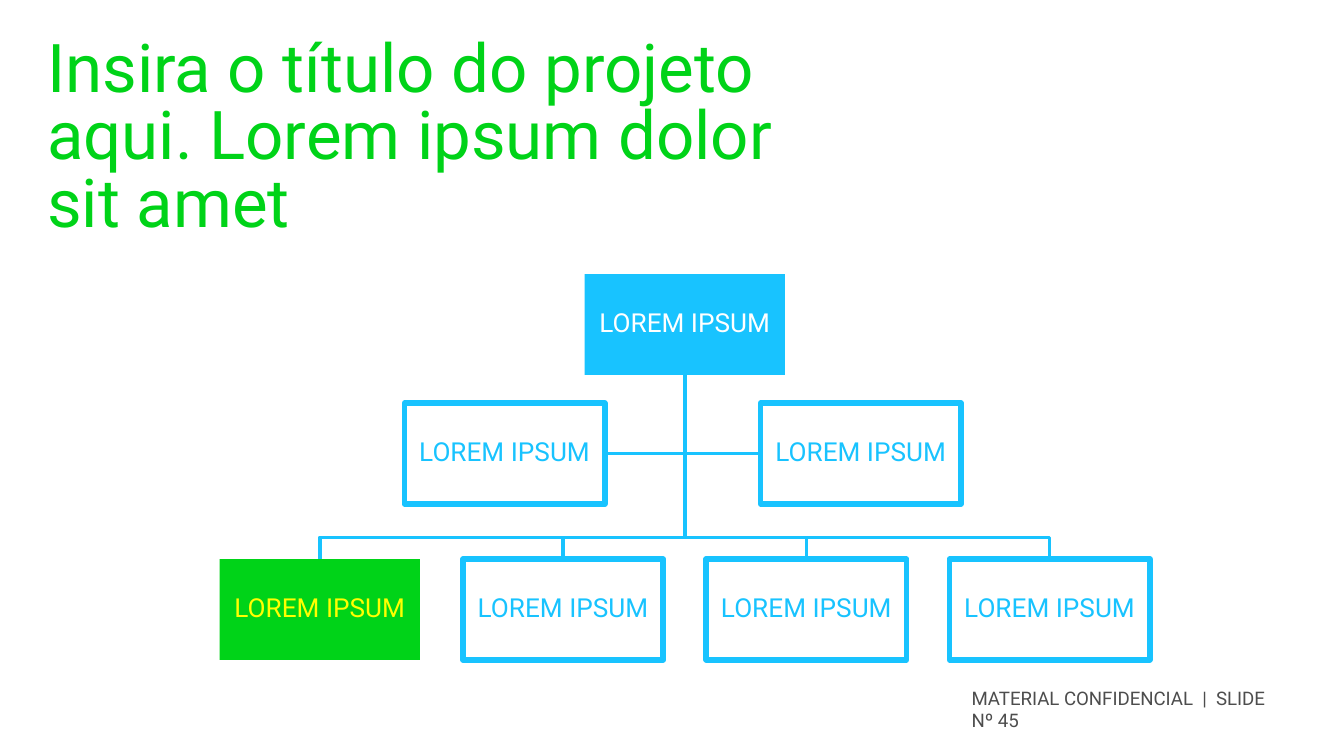
"""Build a slide with a title, an organisation chart and a footer."""
from dataclasses import dataclass

from pptx import Presentation
from pptx import util as u
from pptx.dml import color
from pptx.enum import shapes, text


@dataclass(frozen=True)
class Theme:
    """Colours, font and sizes used on the slide."""
    blue: str = "18C3FF"
    green: str = "00D318"
    yellow: str = "FFFF00"
    white: str = "FFFFFF"
    grey: str = "4D4D4D"
    font: str = "Roboto"
    title: int = 36
    label: int = 14
    footer: int = 10
    link_line: int = 2
    box_line: int = 3


THEME = Theme()
SLIDE_WIDTH = u.Inches(10)
SLIDE_HEIGHT = SLIDE_WIDTH * 9 // 16
BOX_WIDTH, BOX_HEIGHT = 1.49, 0.75
ROOT_LEFT = 4.35
CENTRE = ROOT_LEFT + BOX_WIDTH / 2
ROOT_TOP, ASSISTANT_TOP, TEAM_TOP = 2.04, 3, 4.16
ASSISTANT_LEFTS = (3.01, 5.66)
TEAM_SIZE, TEAM_STEP = 4, 1.81
BUS_Y = 4


def set_values(target, values):
    """Set every attribute named in a dict on the target."""
    for name, value in values.items():
        setattr(target, name, value)


def write(shape, words, size, colour, frame_format, paragraph_format, inset=0):
    """Write one formatted paragraph into a shape."""
    frame = shape.text_frame
    margins = {f"margin_{side}": u.Inches(inset) for side in ("left", "top", "right", "bottom")}
    set_values(frame, {"word_wrap": True, "auto_size": text.MSO_AUTO_SIZE.NONE,
                       **margins, **frame_format})
    paragraph = frame.paragraphs[0]
    set_values(paragraph, {"space_before": u.Pt(0), **paragraph_format})
    run = paragraph.add_run()
    run.text = words
    set_values(run.font, {"name": THEME.font, "size": u.Pt(size), "bold": False})
    run.font.color.rgb = color.RGBColor.from_string(colour)


def add_title(slide, words):
    """Place and fill the title placeholder."""
    title = slide.shapes.title
    set_values(title, {"left": u.Inches(0.35), "top": u.Inches(0.29),
                       "width": u.Inches(5.64), "height": u.Inches(1.44)})
    write(title, words, THEME.title, THEME.green,
          {"vertical_anchor": text.MSO_ANCHOR.TOP},
          {"alignment": text.PP_ALIGN.LEFT, "line_spacing": u.Pt(THEME.title)})


def add_footer(slide, words):
    """Add the footer text box."""
    box = slide.shapes.add_textbox(*map(u.Inches, (7.23, 5.11, 2.33, 0.3)))
    write(box, words, THEME.footer, THEME.grey,
          {"vertical_anchor": text.MSO_ANCHOR.TOP}, {"alignment": text.PP_ALIGN.LEFT})


def add_link(slide, points):
    """Add an elbow link through the given points."""
    start, *rest = [tuple(map(u.Inches, point)) for point in points]
    builder = slide.shapes.build_freeform(*start)
    builder.add_line_segments(rest, close=False)
    link = builder.convert_to_shape()
    link.shadow.inherit = False
    link.fill.background()
    link.line.color.rgb = color.RGBColor.from_string(THEME.blue)
    link.line.width = u.Pt(THEME.link_line)


def add_box(slide, left, top, words, fill=None, colour=THEME.blue):
    """Add a chart box, filled or outlined."""
    box = slide.shapes.add_shape(shapes.MSO_SHAPE.RECTANGLE,
                                 *map(u.Inches, (left, top, BOX_WIDTH, BOX_HEIGHT)))
    box.shadow.inherit = False
    if fill:
        box.fill.solid()
        box.fill.fore_color.rgb = color.RGBColor.from_string(fill)
        box.line.fill.background()
    else:
        box.fill.background()
        box.line.color.rgb = color.RGBColor.from_string(THEME.blue)
        box.line.width = u.Pt(THEME.box_line)
    write(box, words, THEME.label, colour,
          {"vertical_anchor": text.MSO_ANCHOR.MIDDLE},
          {"alignment": text.PP_ALIGN.CENTER, "line_spacing": u.Pt(THEME.label)},
          inset=0.01)


def add_organisation_chart(slide, label):
    """Add the links, then the root, team and assistant boxes."""
    root = (CENTRE, ROOT_TOP + BOX_HEIGHT)
    assistant_y = ASSISTANT_TOP + BOX_HEIGHT / 2
    left, right = ASSISTANT_LEFTS
    team = [CENTRE + (i - (TEAM_SIZE - 1) / 2) * TEAM_STEP for i in range(TEAM_SIZE)]

    for edge in (right, left + BOX_WIDTH):
        add_link(slide, [root, (CENTRE, assistant_y), (edge, assistant_y)])
    for x in reversed(team):
        add_link(slide, [root, (CENTRE, BUS_Y), (x, BUS_Y), (x, TEAM_TOP)])

    add_box(slide, ROOT_LEFT, ROOT_TOP, label, THEME.blue, THEME.white)
    for i, x in enumerate(team):
        style = (THEME.green, THEME.yellow) if i == 0 else ()
        add_box(slide, x - BOX_WIDTH / 2, TEAM_TOP, label, *style)
    for x in ASSISTANT_LEFTS:
        add_box(slide, x, ASSISTANT_TOP, label)


def main():
    """Build and save the presentation."""
    presentation = Presentation()
    set_values(presentation, {"slide_width": SLIDE_WIDTH, "slide_height": SLIDE_HEIGHT})
    slide = presentation.slides.add_slide(presentation.slide_layouts[5])
    add_title(slide, "Insira o título do projeto aqui. Lorem ipsum dolor sit amet")
    add_footer(slide, "MATERIAL CONFIDENCIAL  |  SLIDE Nº 45")
    add_organisation_chart(slide, "LOREM IPSUM")
    presentation.save("out.pptx")


if __name__ == "__main__":
    main()
